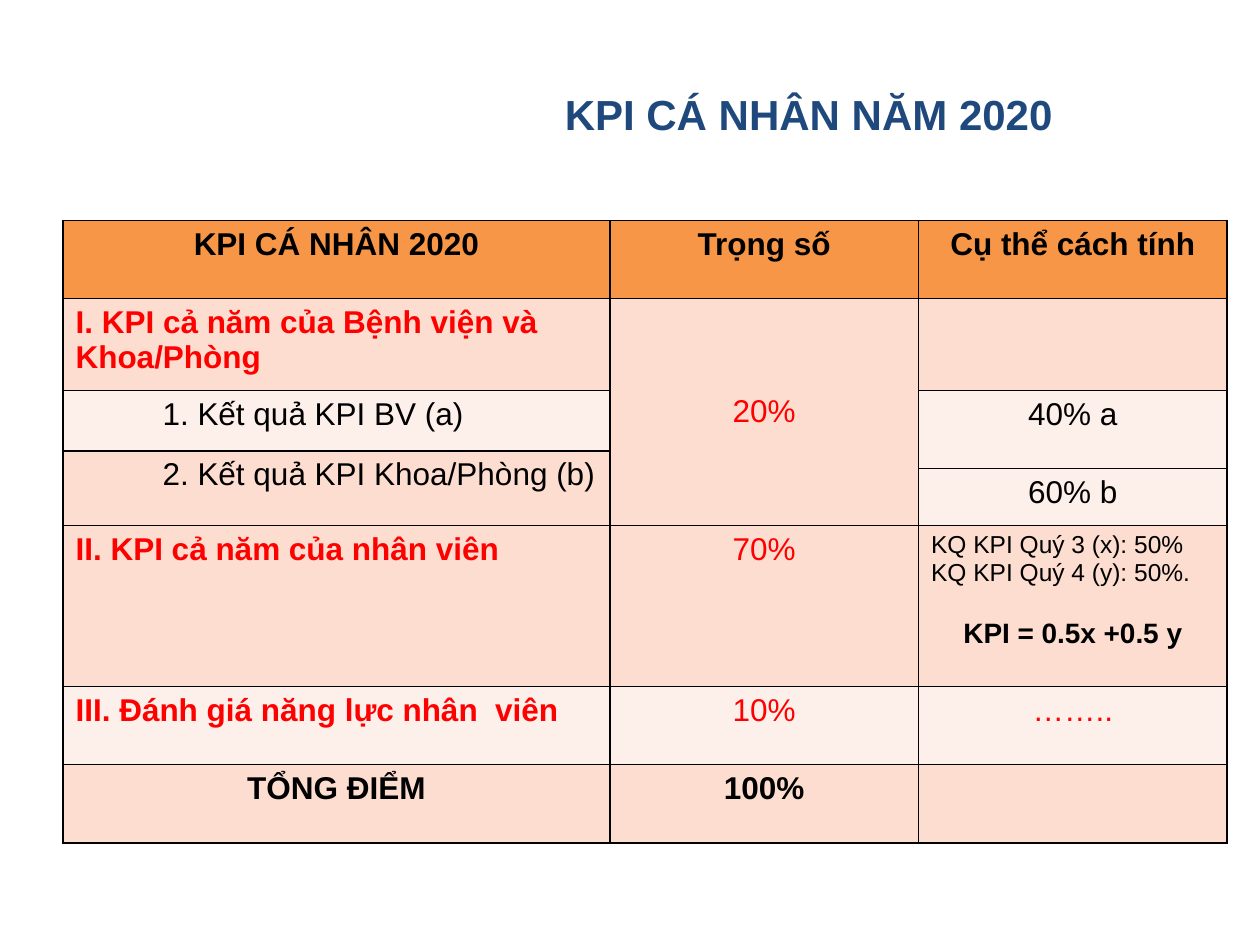
"""Build the slide of personal KPI weights for 2020."""
from lxml.etree import SubElement
from pptx import Presentation
from pptx.dml.color import RGBColor
from pptx.enum.text import MSO_ANCHOR, PP_ALIGN
from pptx.oxml.ns import qn
from pptx.util import Inches, Pt

THEME = dict(font="Arial", title="1F497D", ink="000000", red="FF0000",
             head="F79646", dark="FCDDCF", light="FDEFE9",
             big=24, base=18, mid=16, small=14, rule=1)
WIDE, HIGH = 10, 7.5
COLS = [4.34, 2.45, 2.45]
ROWS = [0.62, 0.73, 0.48, 0.14, 0.45, 1.28, 0.62, 0.62]
FILLS = ["head", "dark", "light", "dark", "light", "dark", "light", "dark"]
INDENT = 0.79

TITLE = "KPI CÁ NHÂN NĂM 2020"
HEAD = dict(bold=True, align="c")
PART = dict(bold=True, color="red")
RATE = dict(color="red", align="c")
MID = dict(align="c")
NOTE = dict(size="small")
CELLS = {
    (0, 0): [("KPI CÁ NHÂN 2020", HEAD)],
    (0, 1): [("Trọng số", HEAD)],
    (0, 2): [("Cụ thể cách tính", HEAD)],
    (1, 0): [("I. KPI cả năm của Bệnh viện và Khoa/Phòng", PART)],
    (1, 1): [("20%", RATE)],
    (2, 0): [("1. Kết quả KPI BV (a)", {})],
    (2, 2): [("40% a", MID)],
    (3, 0): [("2. Kết quả KPI Khoa/Phòng (b)", {})],
    (4, 2): [("60% b", MID)],
    (5, 0): [("II. KPI cả năm của nhân viên", PART)],
    (5, 1): [("70%", RATE)],
    (5, 2): [("KQ KPI Quý 3 (x): 50%", NOTE),
             ("KQ KPI Quý 4 (y): 50%.", NOTE),
             ("KPI = 0.5x +0.5 y", dict(HEAD, size="mid", before=18))],
    (6, 0): [("III. Đánh giá năng lực nhân  viên", PART)],
    (6, 1): [("10%", RATE)],
    (6, 2): [("……..", RATE)],
    (7, 0): [("TỔNG ĐIỂM", HEAD)],
    (7, 1): [("100%", HEAD)],
}
SPANS = [((1, 1), (4, 1)), ((2, 2), (3, 2)), ((3, 0), (4, 0))]
NESTED = [(2, 0), (3, 0)]


def tint(name):
    return RGBColor.from_string(THEME[name])


def write(para, text, size="base", color="ink", bold=False, align="l", before=0):
    para.alignment = PP_ALIGN.CENTER if align == "c" else PP_ALIGN.LEFT
    para.space_before = Pt(before)
    run = para.add_run()
    run.text = text
    font = run.font
    font.name, font.size, font.bold = THEME["font"], Pt(THEME[size]), bold
    font.color.rgb = tint(color)


def border(cell):
    props = cell._tc.get_or_add_tcPr()
    for side in ("lnL", "lnR", "lnT", "lnB"):
        line = SubElement(props, qn("a:" + side), w=str(Pt(THEME["rule"])))
        fill = SubElement(line, qn("a:solidFill"))
        SubElement(fill, qn("a:srgbClr"), val=THEME["ink"])


def add_title(slide):
    box = slide.shapes.add_textbox(Inches(WIDE / 3), Inches(HIGH * 0.04),
                                   Inches(6.17), Inches(HIGH * 0.16))
    frame = box.text_frame
    frame.word_wrap = True
    frame.vertical_anchor = MSO_ANCHOR.MIDDLE
    write(frame.paragraphs[0], TITLE, size="big", color="title", bold=True, align="c")


def add_grid(slide):
    table = slide.shapes.add_table(
        len(ROWS), len(COLS), Inches(WIDE * 0.05), Inches(1.75),
        Inches(sum(COLS)), Inches(sum(ROWS))).table
    for col, width in zip(table.columns, COLS):
        col.width = Inches(width)
    for row, height in zip(table.rows, ROWS):
        row.height = Inches(height)
    for r, fill in enumerate(FILLS):
        for c in range(len(COLS)):
            cell = table.cell(r, c)
            border(cell)
            cell.fill.solid()
            cell.fill.fore_color.rgb = tint(fill)
            frame = cell.text_frame
            for n, (text, style) in enumerate(CELLS.get((r, c), [])):
                para = frame.add_paragraph() if n else frame.paragraphs[0]
                write(para, text, **style)
    for first, last in SPANS:
        table.cell(*first).merge(table.cell(*last))
    for spot in NESTED:
        table.cell(*spot).margin_left = Inches(INDENT)
    table.cell(1, 1).vertical_anchor = MSO_ANCHOR.MIDDLE
    table.cell(2, 2).fill.fore_color.rgb = tint("light")


def main():
    deck = Presentation()
    deck.slide_width, deck.slide_height = Inches(WIDE), Inches(HIGH)
    slide = deck.slides.add_slide(deck.slide_layouts[6])
    add_title(slide)
    add_grid(slide)
    deck.save("out.pptx")


if __name__ == "__main__":
    main()
